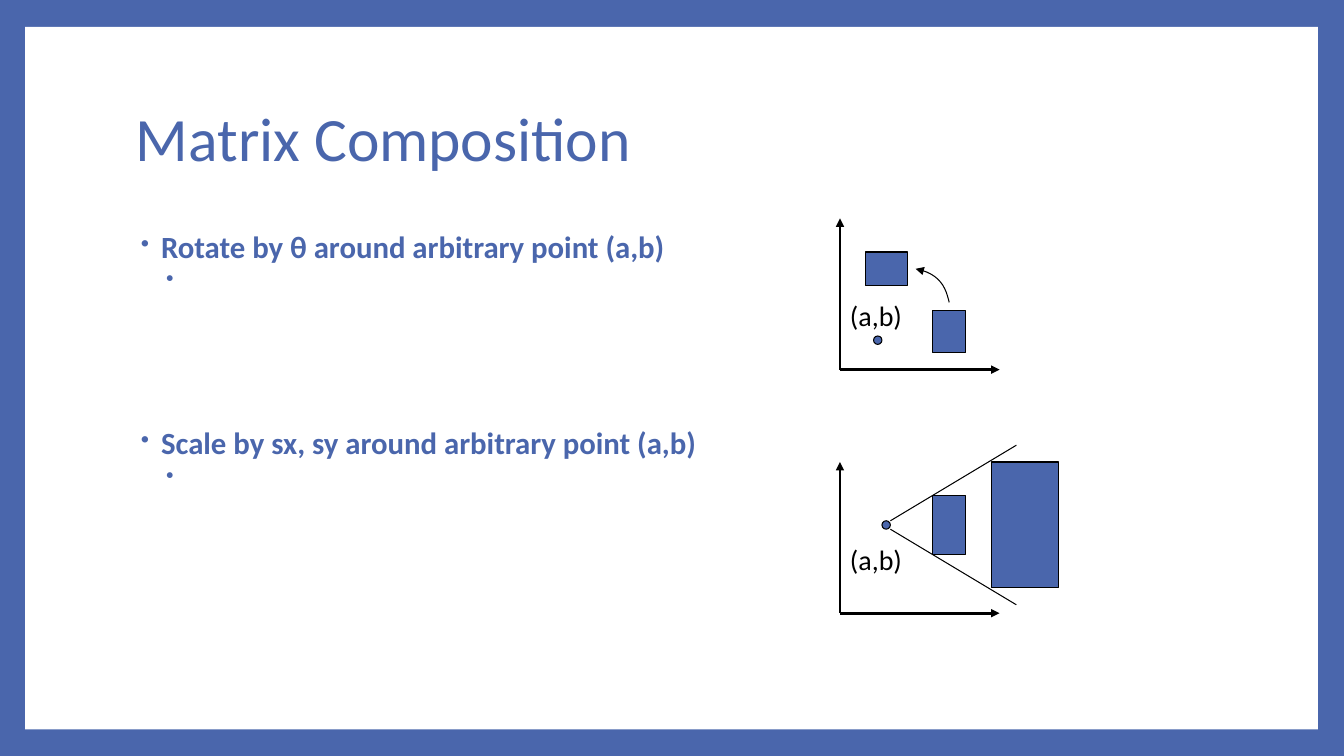
"""Build the Matrix Composition slide: rotating and scaling about a point."""
from lxml.etree import SubElement
from pptx import Presentation
from pptx.dml.color import RGBColor
from pptx.enum.shapes import MSO_CONNECTOR as Connector, MSO_SHAPE as Shape
from pptx.enum.text import MSO_ANCHOR as Anchor
from pptx.oxml.ns import qn
from pptx.util import Inches, Pt

BLUE = RGBColor(0x4A, 0x66, 0xAC)
WHITE = RGBColor(0xFF, 0xFF, 0xFF)
BLACK = RGBColor(0, 0, 0)
FONT = "Calibri"
COLUMNS, ROWS = 160, 90
CELL = Inches(1) // 12


def outline(shape, width, arrow=False):
    """Give a shape or connector a black line, with an arrowhead if asked."""
    shape.line.color.rgb = BLACK
    shape.line.width = Pt(width)
    if arrow:
        SubElement(shape.line._get_or_add_ln(), qn("a:tailEnd"), type="triangle")


def write(frame, text, **format_values):
    """Fill the last paragraph of a frame with one formatted run."""
    para = frame.paragraphs[-1]
    span = para.add_run()
    span.text = text
    span.font.name = FONT
    span.font.color.rgb = format_values.pop("color")
    for name, value in format_values.items():
        setattr(span.font, name, value)
    return para


deck = Presentation()
deck.slide_width = CELL * COLUMNS
deck.slide_height = CELL * ROWS
page = deck.slides.add_slide(deck.slide_layouts[6])
page.background.fill.solid()
page.background.fill.fore_color.rgb = BLUE

panel = page.shapes.add_shape(
    Shape.RECTANGLE, *[int(CELL * size) for size in (3, 3.2, 153.9, 83.65)])
panel.shadow.inherit = False
panel.fill.solid()
panel.fill.fore_color.rgb = WHITE
panel.line.fill.background()

title = page.shapes.add_textbox(
    *[int(CELL * size) for size in (15, 8, 129.6, 17.75)]).text_frame
title.word_wrap = True
title.vertical_anchor = Anchor.MIDDLE
write(title, "Matrix Composition", size=Pt(44), color=BLUE).line_spacing = 0.9

body = page.shapes.add_textbox(
    *[int(CELL * size) for size in (15, 27, 129.6, 53)]).text_frame
body.word_wrap = True
bullets = [
    ("Rotate by θ around arbitrary point (a,b)", 0, 0),
    (" ", 1, 2),
    ("Scale by sx, sy around arbitrary point (a,b)", 0, 89),
    (" ", 1, 2),
]
for number, (text, level, before) in enumerate(bullets):
    if number:
        body.add_paragraph()
    para = write(body, text, size=Pt(22 - 2 * level), bold=not level, color=BLUE)
    para.level = level
    para.line_spacing = 0.9
    para.space_before = Pt(before)
    para.space_after = Pt(4 * level)
    properties = para._p.get_or_add_pPr()
    properties.set("marL", str(Inches(0.25 + 0.25 * level)))
    properties.set("indent", str(Inches(-0.2)))
    bullet_color = SubElement(properties, qn("a:buClr"))
    SubElement(bullet_color, qn("a:srgbClr"), val=str(BLUE))
    SubElement(properties, qn("a:buSzPct"), val="80000")
    SubElement(properties, qn("a:buChar"), char="•")

lines = []
for base in (44, 73):
    lines += [(100, base, 119, base, 2, True), (100, base, 100, base - 18, 2, True)]
lines += [(106, 62, 121, 53, 0.75, False), (106, 63, 121, 72, 0.75, False)]
for *ends, width, arrow in lines:
    line = page.shapes.add_connector(
        Connector.STRAIGHT, *[CELL * end for end in ends])
    outline(line, width, arrow)
    SubElement(line._element.spPr, qn("a:effectLst"))

figures = [
    (Shape.RECTANGLE, 111, 37, 4, 5, 0),
    (Shape.RECTANGLE, 103.5, 29.5, 4, 5, 90),
    (Shape.OVAL, 104, 40, 1, 1, 0),
    (Shape.OVAL, 105, 62, 1, 1, 0),
    (Shape.RECTANGLE, 111, 59, 4, 7, 0),
    (Shape.RECTANGLE, 118, 55, 8, 15, 0),
]
for kind, *place, turn in figures:
    figure = page.shapes.add_shape(kind, *[int(CELL * size) for size in place])
    figure.shadow.inherit = False
    figure.rotation = turn
    figure.fill.solid()
    figure.fill.fore_color.rgb = BLUE
    outline(figure, 0.75)

controls = [(113, 36), (112.6, 34.3), (112, 32.6), (109, 32)]
STEPS = 12
curve = []
for step in range(STEPS + 1):
    t = step / STEPS
    weights = ((1 - t) ** 3, 3 * t * (1 - t) ** 2, 3 * t ** 2 * (1 - t), t ** 3)
    curve.append(tuple(
        int(CELL * sum(weight * point[axis] for weight, point in zip(weights, controls)))
        for axis in (0, 1)))
builder = page.shapes.build_freeform(*curve[0])
builder.add_line_segments(curve[1:], close=False)
turn_arrow = builder.convert_to_shape()
turn_arrow.shadow.inherit = False
turn_arrow.fill.background()
outline(turn_arrow, 0.75, True)

for row in (35, 64):
    label = page.shapes.add_textbox(
        *[int(CELL * size) for size in (100, row, 8.75, 5.25)]).text_frame
    label.word_wrap = False
    write(label, "(a,b)", size=Pt(20), color=BLACK)

deck.save("out.pptx")
